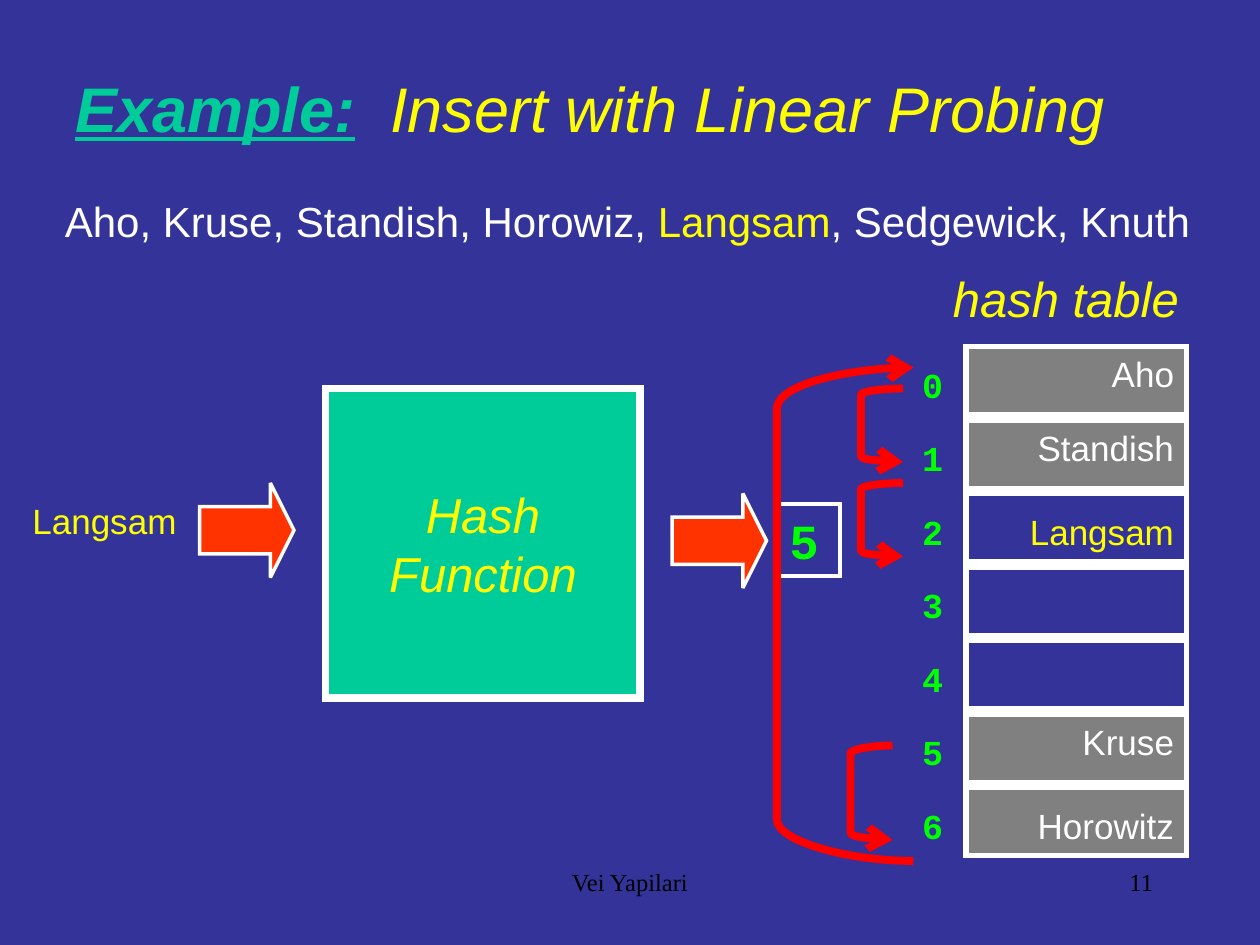
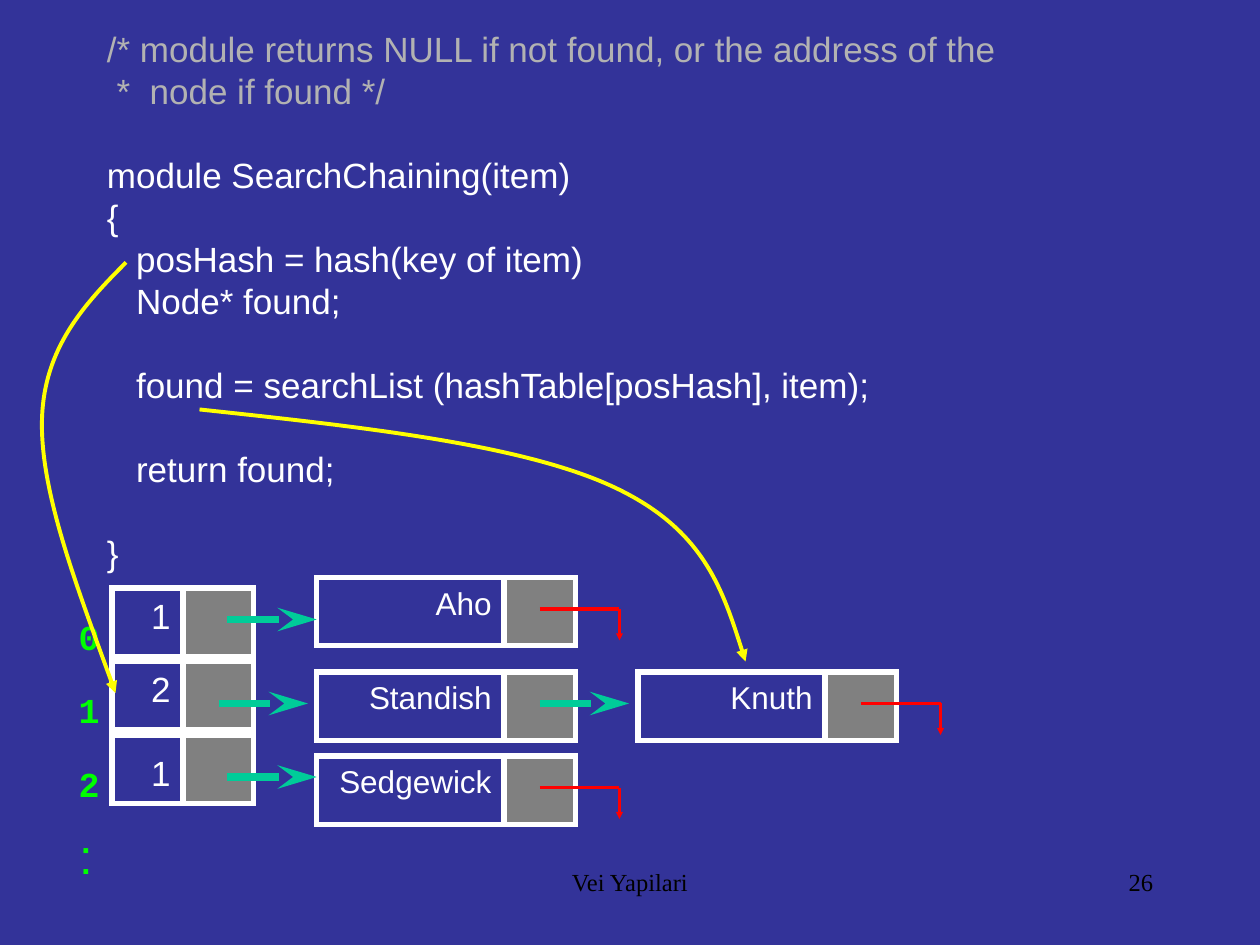
import lxml.etree
import pptx
import pptx.dml.color
import pptx.enum.shapes
import pptx.enum.text
import pptx.oxml.ns
import pptx.util

Pt = pptx.util.Pt
qn = pptx.oxml.ns.qn
MSO = pptx.enum.shapes.MSO_SHAPE
ALIGN = pptx.enum.text.PP_ALIGN
ANCHOR = pptx.enum.text.MSO_ANCHOR

BLUE, WHITE, BLACK, GRAY = "333399", "FFFFFF", "000000", "808080"
YELLOW, LIME, TEAL = "FFFF00", "00FF00", "00CC99"
RED, ORANGE, SILVER = "FF0000", "FF3300", "B2B2B2"
ARIAL, COURIER, TIMES = "Arial", "Courier New", "Times New Roman"

ROW_PITCH, ROW_H = 42, 39


def rgb(color):
    return pptx.dml.color.RGBColor.from_string(color)


class Deck:
    """Holds the shared style and the current slide."""

    def __init__(self):
        self.prs = pptx.Presentation()
        self.prs.slide_width, self.prs.slide_height = Pt(720), Pt(540)

    def new_slide(self, number):
        self.s = self.prs.slides.add_slide(self.prs.slide_layouts[6])
        self.s.background.fill.solid()
        self.s.background.fill.fore_color.rgb = rgb(BLUE)
        self.text("Vei Yapilari", 246, 492, 228, 36, 14, BLACK, ALIGN.CENTER, TIMES)
        self.text(str(number), 516, 492, 150, 36, 14, BLACK, ALIGN.RIGHT, TIMES)

    def frame(self, sp, top=3.6):
        tf = sp.text_frame
        tf.word_wrap = True
        tf.vertical_anchor = ANCHOR.TOP
        tf.margin_left = tf.margin_right = Pt(7.2)
        tf.margin_top, tf.margin_bottom = Pt(top), Pt(3.6)
        return tf

    def style(self, p, size, color, align=ALIGN.LEFT, font=ARIAL, bold=False, italic=False):
        p.alignment = align
        p.line_spacing = Pt(1.2 * size)
        p.font.name, p.font.size = font, Pt(size)
        p.font.bold, p.font.italic = bold, italic
        p.font.color.rgb = rgb(color)

    def text(self, text, x, y, w, h, size, color, *style, **more):
        sp = self.s.shapes.add_textbox(Pt(x), Pt(y), Pt(w), Pt(h))
        p = self.frame(sp).paragraphs[0]
        p.text = text
        self.style(p, size, color, *style, **more)
        return p

    def add_run(self, p, text, color):
        r = p.add_run()
        r.text = text
        r.font.color.rgb = rgb(color)
        return r

    def line_part(self, sp, tag, **attributes):
        """Adds a join or an arrowhead to an outline."""
        ln = sp.line._get_or_add_ln()
        lxml.etree.SubElement(ln, qn(tag), attributes)

    def shape(self, kind, x, y, w, h, fill=None, line=3):
        sp = self.s.shapes.add_shape(kind, Pt(x), Pt(y), Pt(w), Pt(h))
        sp.shadow.inherit = False
        if fill:
            sp.fill.solid()
            sp.fill.fore_color.rgb = rgb(fill)
        else:
            sp.fill.background()
        sp.line.color.rgb, sp.line.width = rgb(WHITE), Pt(line)
        self.line_part(sp, "a:miter", lim="800000")
        return sp

    def cell(self, text, x, y, w, fill=None, color=WHITE, size=20, drop=0):
        """Outlined cell; drop lowers its text."""
        sp = self.shape(MSO.RECTANGLE, x, y, w, ROW_H, fill)
        if text:
            p = self.frame(sp, 3.6 + drop).paragraphs[0]
            p.text = text
            self.style(p, size, color, ALIGN.RIGHT)

    def indexes(self, count, right, y):
        for i in range(count):
            self.text(str(i), right - 60, y + i * ROW_PITCH, 60, 32, 20, LIME,
                      ALIGN.RIGHT, COURIER, bold=True)

    def line(self, x1, y1, x2, y2, color, width, **head):
        c = self.s.shapes.add_connector(pptx.enum.shapes.MSO_CONNECTOR.STRAIGHT,
                                        Pt(x1), Pt(y1), Pt(x2), Pt(y2))
        c.line.color.rgb, c.line.width = rgb(color), Pt(width)
        if head:
            self.line_part(c, "a:tailEnd", **head)
        lxml.etree.SubElement(c._element.spPr, qn("a:effectLst"))

    def curve(self, start, parts, color, width, head, end="a:tailEnd"):
        """Open outline; a part of three points is a cubic curve, of one a line."""
        builder = self.s.shapes.build_freeform(Pt(start[0]), Pt(start[1]))
        builder.add_line_segments([(Pt(x), Pt(y)) for part in parts for x, y in part],
                                  close=False)
        sp = builder.convert_to_shape()
        segments = iter(list(sp._element.iter(qn("a:lnTo"))))
        for part in parts:
            group = [next(segments) for _ in part]
            if len(group) == 3:
                cubic = lxml.etree.Element(qn("a:cubicBezTo"))
                group[0].addprevious(cubic)
                for segment in group:
                    cubic.append(segment[0])
                    segment.getparent().remove(segment)
        sp.shadow.inherit = False
        sp.fill.background()
        sp.line.color.rgb, sp.line.width = rgb(color), Pt(width)
        self.line_part(sp, end, type=head)

    def probe(self, x, y, w, h, end="a:tailEnd"):
        """Red bracket from one table row to another."""
        right, mid, bottom, r = x + w, x + w / 2, y + h, h / 12
        parts = [[(mid, y), (x, y + r / 2), (x, y + r)],
                 [(x, bottom - r)],
                 [(x, bottom - r / 2), (mid, bottom), (right, bottom)]]
        self.curve((right, y), parts, RED, 4.5, "arrow", end)

    def link(self, x, y):
        self.line(x, y, x + 51, y, TEAL, 4.5, type="stealth", w="med", len="lg")

    def node(self, name, x, y, last=True):
        """List node; the last one gets a null pointer."""
        self.cell(name, x, y, 107, size=18)
        self.cell("", x + 107, y, 41, GRAY)
        if last:
            start, end, mid = x + 127.5, x + 173, y + 18
            self.line(start, mid, end, mid, RED, 2)
            self.line(end, mid, end, mid + 18, RED, 2, type="triangle", w="sm", len="sm")


def linear_probing(deck):
    deck.new_slide(11)

    # Title and keys
    p = deck.text("", 36, 36, 630, 50, 36, YELLOW, italic=True)
    r = deck.add_run(p, "Example:", TEAL)
    r.font.bold = r.font.underline = True
    deck.add_run(p, "  Insert with Linear Probing", YELLOW)
    p = deck.text("", 30, 108, 666, 36, 24, WHITE)
    for text, color in (("Aho, Kruse, Standish, Horowiz, ", WHITE), ("Langsam", YELLOW),
                        (", Sedgewick, Knuth", WHITE)):
        deck.add_run(p, text, color)

    # Key, hash function and hash value
    deck.text("Langsam", 0, 282, 108, 32, 20, YELLOW, ALIGN.RIGHT)
    for x, y in ((114, 276), (384, 282)):
        sp = deck.shape(MSO.RIGHT_ARROW, x, y, 54, 54, ORANGE, 2)
        sp.adjustments[0], sp.adjustments[1] = 0.5, 0.25
    sp = deck.shape(MSO.RECTANGLE, 186, 222, 180, 177, TEAL, 4.5)
    tf = deck.frame(sp)
    tf.vertical_anchor = ANCHOR.MIDDLE
    tf.text = "Hash Function"
    deck.style(tf.paragraphs[0], 28, YELLOW, ALIGN.CENTER, italic=True)
    sp = deck.shape(MSO.RECTANGLE, 444, 288, 36, 41, line=2.25)
    tf = deck.frame(sp)
    tf.text = "5"
    deck.style(tf.paragraphs[0], 28, LIME, font=COURIER, bold=True)

    # Hash table
    deck.text("hash table", 528, 150, 162, 41, 28, YELLOW, ALIGN.CENTER, italic=True)
    rows = (("Aho", GRAY, WHITE, 0), ("Standish", GRAY, WHITE, 0),
            ("Langsam", None, YELLOW, 6), ("", None, WHITE, 0), ("", None, WHITE, 0),
            ("Kruse", GRAY, WHITE, 0), ("Horowitz", GRAY, WHITE, 6))
    for i, (name, fill, color, drop) in enumerate(rows):
        deck.cell(name, 552, 198 + i * ROW_PITCH, 126, fill, color, drop=drop)
    deck.indexes(len(rows), 546, 204)

    # Probe sequence
    deck.probe(486, 426, 24, 54)
    deck.probe(444, 210, 78, 282, "a:headEnd")
    deck.probe(492, 222, 24, 42)
    deck.probe(492, 276, 24, 42)


def search_chaining(deck):
    deck.new_slide(26)

    # Code: text, colour, indent, blank lines before
    code = (("/* module returns NULL if not found, or the address of the", SILVER, 0, 0),
            (" *  node if found */", SILVER, 0, 0),
            ("module SearchChaining(item)", WHITE, 0, 1),
            ("{", WHITE, 0, 0),
            ("posHash = hash(key of item)", WHITE, 1, 0),
            ("Node* found;", WHITE, 1, 0),
            ("found = searchList (hashTable[posHash], item);", WHITE, 1, 1),
            ("return found;", WHITE, 1, 1),
            ("}", WHITE, 0, 1))
    tf = deck.frame(deck.s.shapes.add_textbox(Pt(54), Pt(12), Pt(570), Pt(320)))
    for i, (text, color, indent, blank) in enumerate(code):
        p = tf.add_paragraph() if i else tf.paragraphs[0]
        p.text = text
        deck.style(p, 20, color)
        p.space_before = Pt(24 * blank)
        p._p.get_or_add_pPr().set("marL", str(Pt(16.7 * indent)))

    # Bucket table
    deck.indexes(3, 64, 348)
    deck.text(":", 0, 468, 60, 41, 28, LIME, ALIGN.RIGHT)
    for i, (count, drop) in enumerate((("1", 0), ("2", 0), ("1", 6))):
        y = 336 + i * ROW_PITCH
        deck.cell(count, 64, y, 40.5, drop=drop)
        deck.cell("", 104.5, y, 40.5, GRAY)

    # Chains
    deck.node("Aho", 181, 330)
    deck.node("Standish", 181, 384, last=False)
    deck.node("Knuth", 364.5, 384)
    deck.node("Sedgewick", 181, 432)
    for x, y in ((130, 354), (125, 402), (308.5, 402), (130, 444)):
        deck.link(x, y)

    # Pointers from code to data
    to_bucket = [[(48, 174), (25, 199), (24, 240)],
                 [(23, 281), (45, 338), (66, 396)]]
    to_node = [[(207, 244), (299, 254), (351, 278.5)],
               [(402, 302.5), (414, 340), (426, 378)]]
    for start, parts in (((72, 150), to_bucket), ((114, 234), to_node)):
        deck.curve(start, parts, YELLOW, 2.25, "triangle")


def main():
    deck = Deck()
    linear_probing(deck)
    search_chaining(deck)
    deck.prs.save("out.pptx")


if __name__ == "__main__":
    main()
